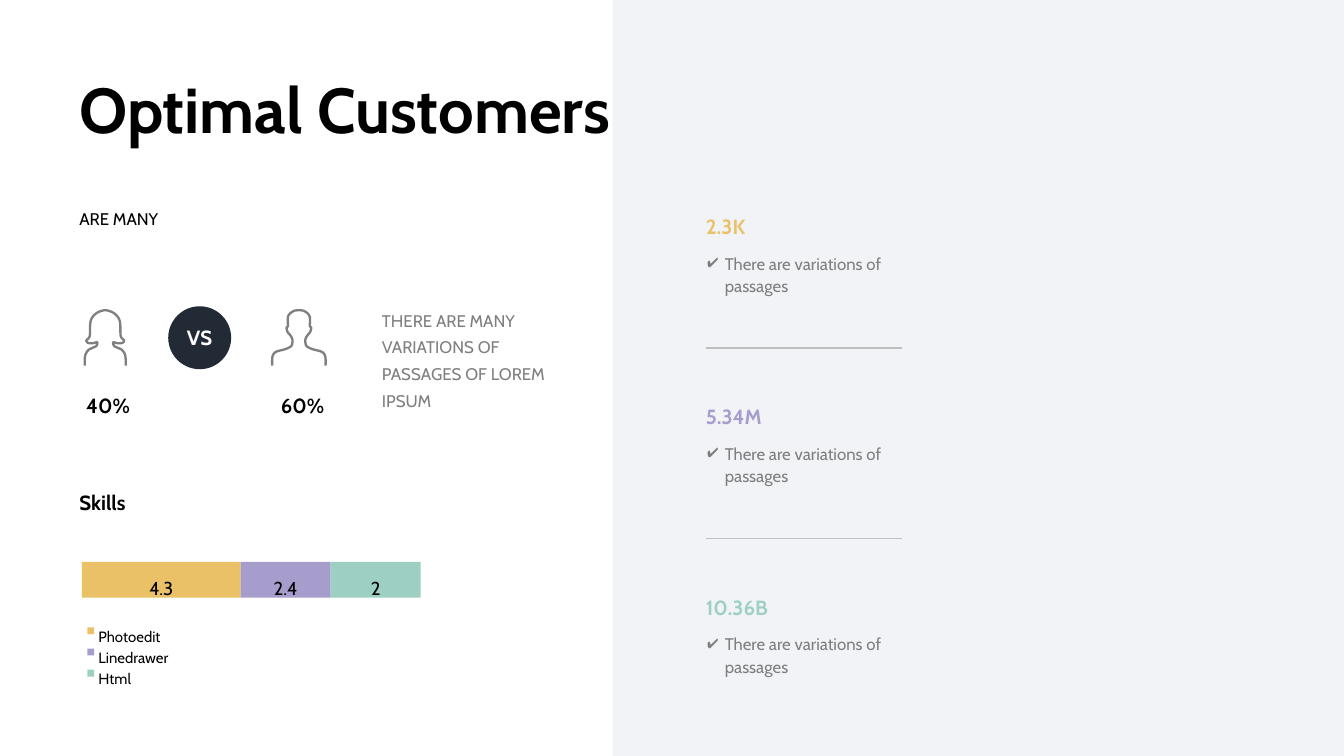
from lxml import etree
from pptx import Presentation
from pptx.dml.color import RGBColor
from pptx.enum.shapes import MSO_CONNECTOR, MSO_SHAPE
from pptx.enum.text import MSO_ANCHOR, MSO_AUTO_SIZE, PP_ALIGN
from pptx.oxml.ns import qn
from pptx.util import Cm, Pt

RECT, OVAL = MSO_SHAPE.RECTANGLE, MSO_SHAPE.OVAL
STRAIGHT = MSO_CONNECTOR.STRAIGHT
LEFT, CENTER = PP_ALIGN.LEFT, PP_ALIGN.CENTER
TOP, MIDDLE = MSO_ANCHOR.TOP, MSO_ANCHOR.MIDDLE

FONT = "Cabin"
BLACK, WHITE, GRAY, RULE = "000000", "FFFFFF", "7F7F7F", "BFBFBF"
NAVY, PANEL = "222A35", "D5DBE5"
GOLD, LILAC, MINT = "EAC167", "A69DCC", "9DD0C2"

SKILLS = [("Photoedit", "4.3", GOLD, 3.0),
          ("Linedrawer", "2.4", LILAC, 1.7),
          ("Html", "2", MINT, 1.7)]
STATS = [("2.3K", GOLD), ("5.34M", LILAC), ("10.36B", MINT)]

ICON_UNITS = 42
WOMAN = [(0, 1), (5, 2.3), (9, 5.5), (11, 10), (11.3, 18), (11.8, 21),
         (14, 23.5), (12.5, 25.3), (9, 25.4), (6, 24.8), (6.5, 27.3),
         (9, 28.7), (12.5, 30.5), (14.7, 34), (15.2, 38), (15.2, 42)]
MAN = [(0, 1), (4, 1.6), (7.5, 4.5), (8.3, 8), (8.1, 12.5), (9.1, 14),
       (8.3, 17.3), (6.8, 19), (5, 22), (4.9, 25.5), (6, 27.8),
       (10, 29.8), (16.5, 31.6), (19, 33.8), (19.8, 37), (19.8, 42)]


def color(value):
    """Turn a hex string into a colour."""
    return RGBColor.from_string(value)


def write(shape, text, size, hue, bold=False, align=LEFT, anchor=TOP, spacing=None, bullet=None):
    """Put one formatted paragraph into a shape."""
    tf = shape.text_frame
    tf.word_wrap, tf.auto_size, tf.vertical_anchor = True, MSO_AUTO_SIZE.NONE, anchor
    tf.margin_left = tf.margin_right = Cm(0.18)
    tf.margin_top = tf.margin_bottom = Cm(0.1)
    tf.text = text
    p = tf.paragraphs[0]
    p.alignment = align
    if spacing:
        p.line_spacing = spacing
    if bullet:
        props = p._p.get_or_add_pPr()
        props.set("marL", str(Cm(0.36)))
        props.set("indent", str(Cm(-0.33)))
        tint = etree.SubElement(props, qn("a:buClr"))
        etree.SubElement(tint, qn("a:srgbClr"), val=hue)
        etree.SubElement(props, qn("a:buChar"), char=bullet)
    font = p.runs[0].font
    font.name, font.size, font.bold = FONT, Pt(size), bold
    font.color.rgb = color(hue)


def add_text(s, x, y, w, h, text, size, hue, **style):
    """Add a text box measured in centimetres."""
    write(s.shapes.add_textbox(Cm(x), Cm(y), Cm(w), Cm(h)), text, size, hue, **style)


def add_block(s, kind, x, y, w, h, hue):
    """Add a plain filled shape without outline."""
    sp = s.shapes.add_shape(kind, Cm(x), Cm(y), Cm(w), Cm(h))
    sp.shadow.inherit = False
    sp.fill.solid()
    sp.fill.fore_color.rgb = color(hue)
    sp.line.fill.background()
    return sp


def add_panel(s, x, y, w, h):
    """Add the pale translucent side panel."""
    sp = add_block(s, RECT, x, y, w, h, PANEL)
    srgb = sp.fill._xPr.find(".//" + qn("a:srgbClr"))
    etree.SubElement(srgb, qn("a:alpha"), val="33000")


def add_title(s, x, y, w, h):
    """Place and format the title placeholder."""
    title = s.shapes.title
    title.left, title.top, title.width, title.height = Cm(x), Cm(y), Cm(w), Cm(h)
    write(title, "Optimal Customers", 34, BLACK, bold=True)


def smooth(points, steps=5):
    """Interpolate a Catmull-Rom curve through the points."""
    padded = [points[0], *points, points[-1]]
    curve = []
    for a, b, c, d in zip(padded, padded[1:], padded[2:], padded[3:]):
        for t in (i / steps for i in range(steps)):
            curve.append(tuple(
                q + t * ((r - p) + t * ((2 * p - 5 * q + 4 * r - v) + t * (3 * q - p - 3 * r + v))) / 2
                for p, q, r, v in zip(a, b, c, d)))
    return curve + [points[-1]]


def add_bust(s, center, y, h, half):
    """Draw a symmetric bust outline from its right half."""
    mirrored = [(-px, py) for px, py in reversed(half[1:])]
    unit = h / ICON_UNITS
    outline = [(Cm(center + px * unit), Cm(y + py * unit)) for px, py in smooth(mirrored + half)]
    builder = s.shapes.build_freeform(*outline[0])
    builder.add_line_segments(outline[1:], close=False)
    sp = builder.convert_to_shape()
    sp.shadow.inherit = False
    sp.fill.background()
    sp.line.color.rgb = color(GRAY)
    sp.line.width = Pt(1.25)


def add_comparison(s, x, y, h):
    """Compare the two customer groups."""
    add_bust(s, x + 0.67, y + 0.05, h, WOMAN)
    add_bust(s, x + 4.33, y + 0.05, h, MAN)
    badge = add_block(s, OVAL, x + 1.86, y, 1.19, 1.19, NAVY)
    write(badge, "VS", 11, WHITE, bold=True, align=CENTER, anchor=MIDDLE)
    for offset, share in ((0.13, "40%"), (3.81, "60%")):
        add_text(s, x + offset, y + 1.53, 2.3, 0.64, share, 11, BLACK, bold=True)
    add_text(s, x + 5.72, y - 0.15, 3.66, 1.88, "THERE ARE MANY VARIATIONS OF PASSAGES OF LOREM IPSUM",
             9, GRAY, spacing=1.33)


def add_skills(s, x, y):
    """Add the segmented skills bar with heading and legend."""
    add_text(s, x, y, 3, 0.64, "Skills", 11, BLACK, bold=True)
    left, pitch = x + 0.23, 0.4
    for row, (name, value, hue, width) in enumerate(SKILLS):
        segment = add_block(s, RECT, left, y + 1.45, width, 0.68, hue)
        write(segment, value, 10, BLACK, align=CENTER, spacing=1.45)
        left += width
        top = y + 2.44 + row * pitch
        add_block(s, RECT, x + 0.33, top + 0.25, 0.13, 0.13, hue)
        add_text(s, x + 0.36, top, 3.66, 0.58, name, 8, BLACK, spacing=1.45)


def add_stats(s, x, y, w, pitch):
    """Stack the key figures with rules between them."""
    for row, (figure, hue) in enumerate(STATS):
        top = y + row * pitch
        add_text(s, x, top, 3.02, 0.64, figure, 11, hue, bold=True)
        add_text(s, x, top + 0.71, w, 0.99, "There are variations of passages", 9, GRAY,
                 spacing=1.1, bullet="✔")
        if row < len(STATS) - 1:
            rule_y = Cm(top + 2.64)
            rule = s.shapes.add_connector(STRAIGHT, Cm(x + 0.18), rule_y, Cm(x + w), rule_y)
            rule.line.color.rgb = color(RULE)
            rule.line.width = Pt(0.75)
            etree.SubElement(rule._element.spPr, qn("a:effectLst"))


def main():
    """Build and save the slide."""
    prs = Presentation()
    prs.slide_width, prs.slide_height = Cm(25.4), Cm(14.29)
    s = prs.slides.add_slide(prs.slide_layouts[5])
    add_panel(s, 11.58, 0, 13.82, 14.29)
    add_title(s, 1.32, 1.22, 18.11, 1.65)
    add_text(s, 1.32, 3.84, 3.68, 0.58, "ARE MANY", 9, BLACK)
    add_comparison(s, 1.32, 5.79, 1.07)
    add_skills(s, 1.32, 9.17)
    add_stats(s, 13.16, 3.94, 3.89, 3.6)
    prs.save("out.pptx")


if __name__ == "__main__":
    main()
